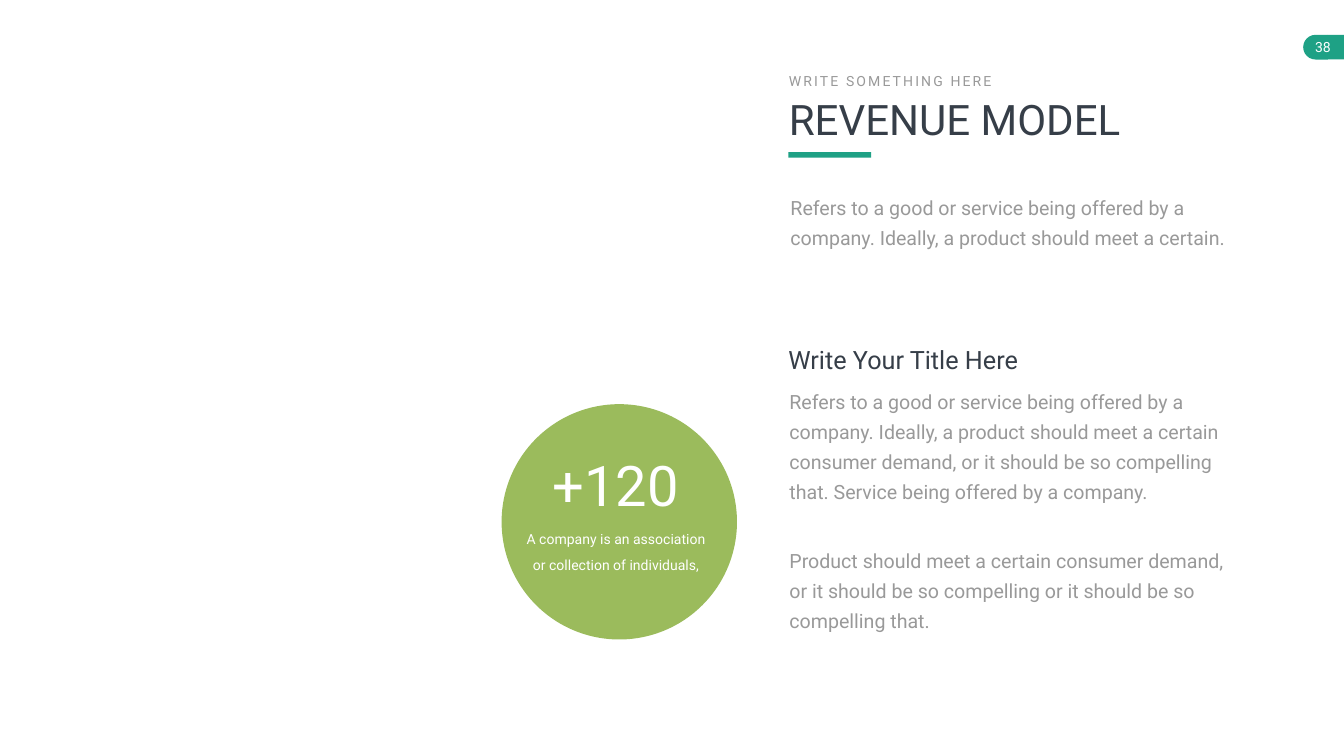
from pptx import Presentation
from pptx.dml.color import RGBColor
from pptx.enum.shapes import MSO_SHAPE
from pptx.enum.text import PP_ALIGN
from pptx.util import Pt

LEFT, CENTER = PP_ALIGN.LEFT, PP_ALIGN.CENTER
RECT, OVAL, DELAY = MSO_SHAPE.RECTANGLE, MSO_SHAPE.OVAL, MSO_SHAPE.FLOWCHART_DELAY
FONT = "Roboto"
TEAL, GREEN, DARK, GRAY, WHITE = "1EA185", "9BBB5C", "363E48", "999999", "FFFFFF"


def add_block(kind, x, y, w, h, color):
    sp = s.shapes.add_shape(kind, Pt(x), Pt(y), Pt(w), Pt(h))
    sp.shadow.inherit = False
    sp.fill.solid()
    sp.fill.fore_color.rgb = RGBColor.from_string(color)
    sp.line.fill.background()
    return sp


def add_text(x, y, w, h, paragraphs, size, color, align=LEFT, wrap=True,
             inset=(7.2, 3.6), leading=None, gap=0, tracking=0):
    tf = s.shapes.add_textbox(Pt(x), Pt(y), Pt(w), Pt(h)).text_frame
    tf.word_wrap = wrap
    tf.margin_left = tf.margin_right = Pt(inset[0])
    tf.margin_top = tf.margin_bottom = Pt(inset[1])
    for i, text in enumerate(paragraphs):
        p = tf.add_paragraph() if i else tf.paragraphs[0]
        p.alignment = align
        if leading:
            p.line_spacing = leading
        if i:
            p.space_before = Pt(gap)
        r = p.add_run()
        r.text = text
        r.font.name = FONT
        r.font.size = Pt(size)
        r.font.color.rgb = RGBColor.from_string(color)
        if tracking:
            r.font._element.set("spc", str(tracking * 100))


prs = Presentation()
prs.slide_width, prs.slide_height = Pt(1919.52), Pt(1080)
s = prs.slides.add_slide(prs.slide_layouts[6])

add_block(DELAY, 1861.2, 49.7, 35.3, 35.3, TEAL).rotation = 180
add_block(RECT, 1896.5, 49.7, 23, 35.3, TEAL)
add_text(1862.4, 48.2, 54, 38.9, ["38"], 20, WHITE, CENTER, False, (7.2, 7.2))

add_block(OVAL, 716.4, 577.4, 336.2, 336.2, GREEN)
add_text(781.2, 639.4, 196.6, 104.4, ["+120"], 80, WHITE, CENTER, False)
add_text(741.6, 743, 276.5, 75.6,
         ["A company is an association or collection of individuals,"],
         20, WHITE, CENTER, leading=1.5)

body = dict(size=28, color=GRAY, inset=(17.3, 8.6), leading=Pt(43))
add_text(1111.7, 261.4, 655.2, 100, [
    "Refers to a good or service being offered by a company. "
    "Ideally, a product should meet a certain."], **body)
add_text(1110.2, 539.3, 661.7, 374.4, [
    "Refers to a good or service being offered by a company. "
    "Ideally, a product should meet a certain consumer demand, or it should be "
    "so compelling that. Service being offered by a company.",
    "Product should meet a certain consumer demand, or it should be "
    "so compelling or it should be so compelling that."], gap=54.2, **body)
add_text(1118.9, 488.2, 387.4, 51.1, ["Write Your Title Here"], 36, DARK)

add_block(RECT, 1126.1, 217.4, 118.1, 7.9, TEAL)
add_text(1119.6, 130.3, 537.8, 79.9, ["REVENUE MODEL"], 60, DARK)
add_text(1119.6, 100.1, 313.2, 31.7, ["WRITE SOMETHING HERE"], 20, GRAY,
         wrap=False, tracking=3)

prs.save("out.pptx")
